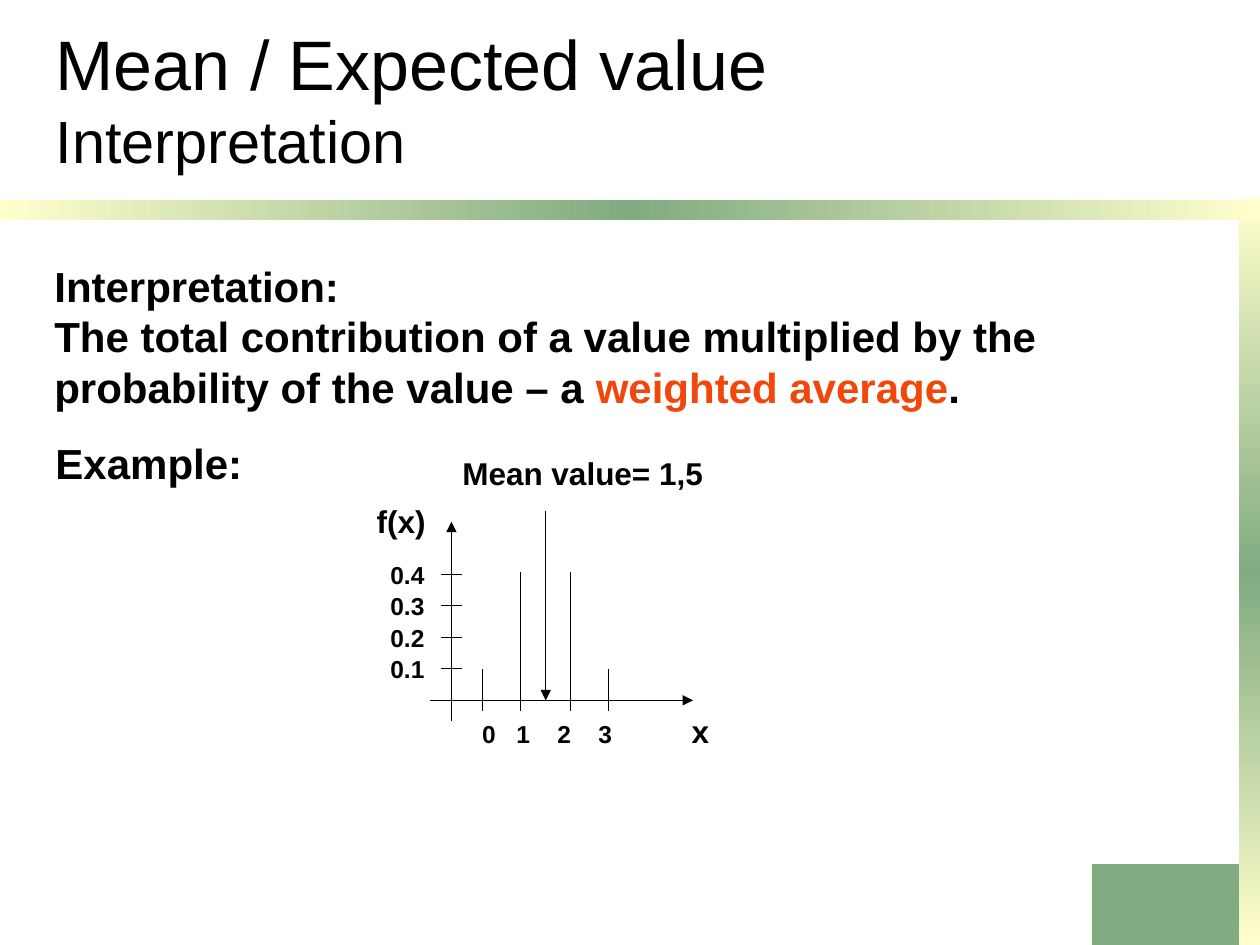
from copy import deepcopy

from lxml import etree
from pptx import Presentation
from pptx.dml.color import RGBColor
from pptx.enum.shapes import MSO_CONNECTOR, MSO_SHAPE
from pptx.enum.text import MSO_ANCHOR, MSO_AUTO_SIZE, PP_ALIGN
from pptx.oxml.ns import qn
from pptx.util import Inches, Pt

LINE, RECT = MSO_CONNECTOR.STRAIGHT, MSO_SHAPE.RECTANGLE
LEFT, MIDDLE, TOP = PP_ALIGN.LEFT, MSO_ANCHOR.MIDDLE, MSO_ANCHOR.TOP
FIXED, GROW = MSO_AUTO_SIZE.NONE, MSO_AUTO_SIZE.SHAPE_TO_FIT_TEXT
HUES = {"ink": "000000", "green": "81AB81", "cream": "FFFFCC", "orange": "F2470A"}
WIDE, HIGH = Inches(10), Inches(7.5)
UNIT = WIDE // 120  # grid of 120 columns by 90 rows


def hue(name):
    return RGBColor.from_string(HUES[name])


def grid(*nums):
    return [round(num * UNIT) for num in nums]


def style(font, size, bold=False, color="ink"):
    for key, val in {"name": "Arial", "size": Pt(size), "bold": bold}.items():
        setattr(font, key, val)
    font.color.rgb = hue(color)


def write(slide, box, paras, size, wrap=False):
    """Add bold text; each paragraph is a list of (text, colour) runs."""
    frame = slide.shapes.add_textbox(*grid(*box)).text_frame
    frame.auto_size, frame.word_wrap, frame.vertical_anchor = GROW, wrap, TOP
    for num, runs in enumerate(paras):
        para = frame.add_paragraph() if num else frame.paragraphs[0]
        para.alignment = LEFT
        for text, color in runs:
            run = para.add_run()
            run.text = text
            style(run.font, size, True, color)
    return frame


def draw(slide, start, end, arrow=False):
    line = slide.shapes.add_connector(LINE, *grid(*start, *end))
    line.line.color.rgb, line.line.width = hue("ink"), Pt(0.75)
    if arrow:
        etree.SubElement(line.line._get_or_add_ln(), qn("a:tailEnd"), type="triangle")
    etree.SubElement(line._element.spPr, qn("a:effectLst"))


def block(slide, box):
    shape = slide.shapes.add_shape(RECT, *grid(*box))
    shape.shadow.inherit = False
    shape.line.fill.background()
    shape.fill.solid()
    shape.fill.fore_color.rgb = hue("green")
    return shape


def band(slide, box, angle):
    """Add a bar that shades from cream to green and back."""
    fill = block(slide, box).fill
    fill.gradient()
    fill.gradient_angle = angle
    stops = fill.gradient_stops
    for stop, name in zip(stops, ("cream", "green")):
        stop.color.rgb = hue(name)
    stops[0].position, stops[1].position = 0, 0.5
    nodes = fill._fill._gradFill.gsLst
    last = deepcopy(nodes[0])
    last.set("pos", "100000")
    nodes.append(last)


def frame_page(slide):
    block(slide, (104, 82.3, 16, 7.7))
    band(slide, (118, 19, 2, 71), 90)
    band(slide, (0, 19, 120, 2), 0)


def head(slide, box):
    title = slide.shapes.title
    title.left, title.top, title.width, title.height = grid(*box)
    frame = title.text_frame
    frame.auto_size, frame.word_wrap, frame.vertical_anchor = FIXED, True, MIDDLE
    para = frame.paragraphs[0]
    para.alignment = LEFT
    for num, (text, size) in enumerate((("Mean / Expected value", 40), ("Interpretation", 34))):
        if num:
            para.add_line_break()
        run = para.add_run()
        run.text = text
        style(run.font, size)


def body(slide, box):
    left, top, _, _ = box
    write(slide, box, [
        [("Interpretation:", "ink")],
        [("The total contribution of a value multiplied by the probability of the value – a ", "ink"),
         ("weighted average", "orange"), (".", "ink")],
    ], 24, True)
    write(slide, (left + 0.1, top + 16.9, 20.15, 6), [[("Example:", "ink")]], 24)


def plot(slide, left, top):
    """Draw the probability function as stems, with its axes and mean."""
    zero, base, step = left + 9, top + 24, 3

    def label(box, text, size):
        col, row, width, height = box
        return write(slide, (left + col, top + row, width, height), [[(text, "ink")]], size)

    draw(slide, (zero - 2, base), (zero + 23, base), True)
    draw(slide, (zero, base + 2), (zero, base - 17), True)
    draw(slide, (zero + 8.98, base - 18), (zero + 8.98, base), True)
    for tick in range(1, 5):
        row = base - tick * step
        draw(slide, (zero - 1, row), (zero + 1, row))
        label((2, 22 - tick * step, 5.65, 4), f"0.{tick}", 14)
    for col, stem in ((2.98, 3), (6.6, 12.2), (11.33, 12.2), (14.98, 3)):
        draw(slide, (zero + col, base + 1), (zero + col, base - 1))
        draw(slide, (zero + col, base), (zero + col, base - stem))
    label((8.85, 0, 25.3, 4.8), "Mean value= 1,5", 18)
    label((0.7, 4.5, 7.05, 4.8), "f(x)", 18)
    label((30.7, 24.5, 4.1, 4.8), "x", 18)
    marks = label((10.75, 25.15, 15.4, 4), "0\t1\t2\t3", 14)
    marks.word_wrap = True
    tabs = etree.SubElement(marks.paragraphs[0]._p.get_or_add_pPr(), qn("a:tabLst"))
    for stop in grid(3.25, 7.15, 11.05):
        etree.SubElement(tabs, qn("a:tab"), pos=str(stop), algn="l")


def main():
    deck = Presentation()
    deck.slide_width, deck.slide_height = WIDE, HIGH
    slide = deck.slides.add_slide(deck.slide_layouts.get_by_name("Title Only"))
    frame_page(slide)
    head(slide, (4.1, 1.85, 96, 15))
    body(slide, (4, 24.2, 110.4, 15.6))
    plot(slide, 34, 42.7)
    deck.save("out.pptx")


if __name__ == "__main__":
    main()
